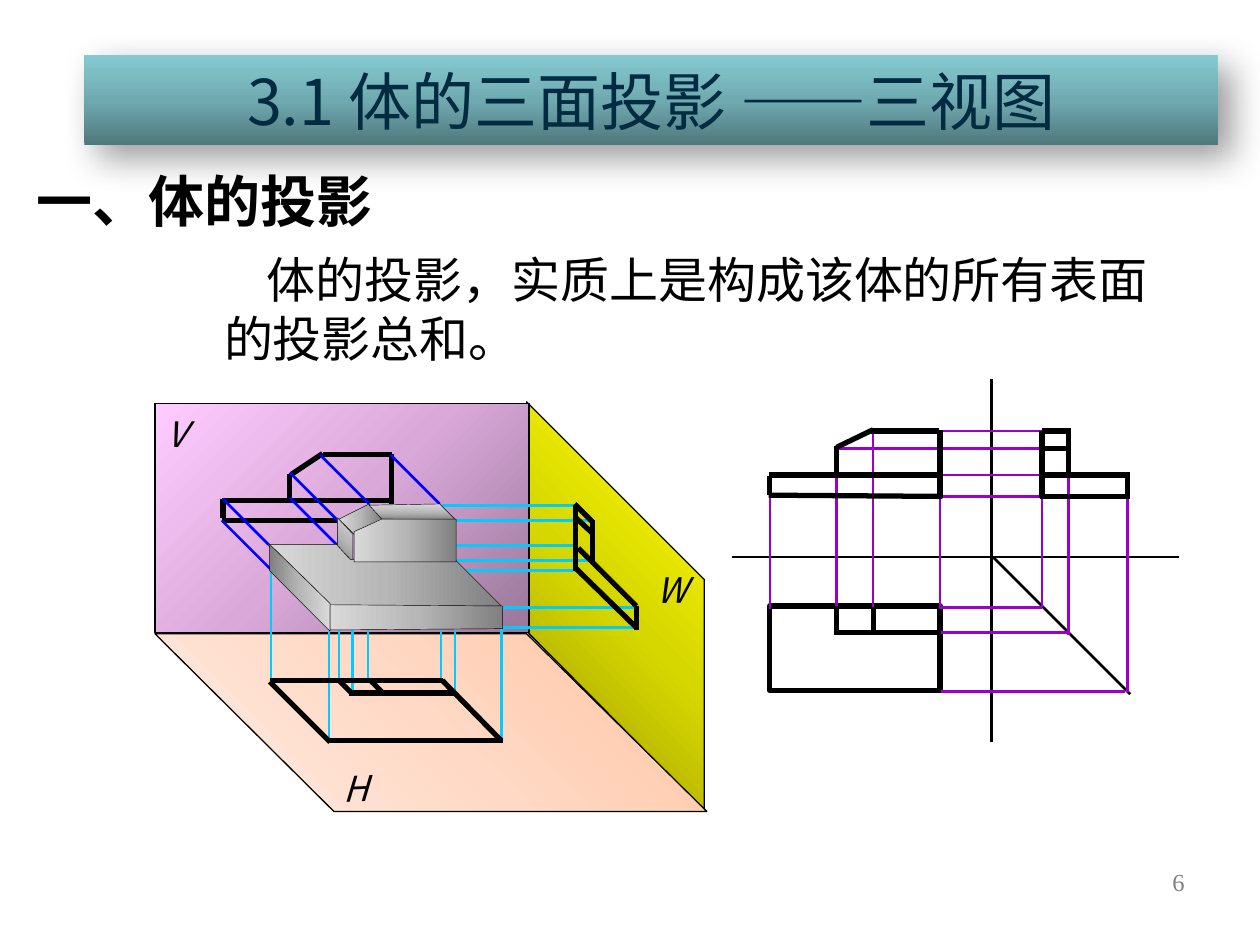
import pptx
import pptx.util
import pptx.dml.color
import pptx.enum.shapes
import pptx.enum.text
import pptx.oxml
import pptx.oxml.ns
import lxml.etree

PX = 9144  # 100 px to the inch
RGB = pptx.dml.color.RGBColor
BLACK, GREY = RGB(0, 0, 0), RGB(0x80, 0x80, 0x80)
NAVY = RGB(0x00, 0x2B, 0x41)
PURPLE, CYAN, BLUE = RGB(0x99, 0, 0xCC), RGB(0, 0xCC, 0xFF), RGB(0, 0, 0xFF)
TEAL = RGB(0x4F, 0x78, 0x7C), RGB(0x70, 0xAA, 0xB1), RGB(0x85, 0xCA, 0xD1)
YELLOW = RGB(0x97, 0x97, 0), RGB(0xD7, 0xD7, 0), RGB(0xFF, 0xFF, 0)
PEACH = RGB(0xFF, 0xC4, 0xA0), RGB(0xFF, 0xD9, 0xC5), RGB(0xFF, 0xEC, 0xE3)
PINK = RGB(0x99, 0x77, 0x99), RGB(0xDA, 0xA9, 0xDA), RGB(0xFF, 0xCC, 0xFF)
STEEL = GREY, RGB(0xB7, 0xB7, 0xB7), RGB(0xD9, 0xD9, 0xD9)
SANS, SERIF = "Noto Sans CJK SC", "Times New Roman"

TITLE = "3.1 体的三面投影 ——三视图"
HEAD = "一、体的投影"
BODY = "体的投影，实质上是构成该体的所有表面的投影总和。"
NUMBER = "6"

# Name, box, turn in degrees
LABELS = [("V", (122, 322, 37, 44), 0), ("W", (510, 446, 46, 44), -0.5),
          ("H", (262, 603, 40, 44), -2.6)]

# Gradient, angle, corners
W_PLANE = (YELLOW, 315, [(418, 501), (559, 643), (559, 460), (418, 319)])
H_PLANE = (PEACH, 135, [(123, 503), (418, 503), (561, 644), (265, 644)])
V_PLANE = (123, 320, 297, 182)
TOP_VIEW = (611, 481, 135, 67)
SOLID = [
    (STEEL, 315, [(268, 411), (268, 433), (280, 446), (280, 424)]),
    (STEEL, 180, [(269, 412), (293, 400), (303, 412), (281, 424)]),
    (STEEL, 270, [(293, 401), (349, 400), (362, 413), (303, 412)]),
    (STEEL, 180, [(267, 432), (278, 444), (362, 445), (398, 481), (260, 481), (212, 432)]),
    (STEEL, 180, [(281, 422), (281, 446), (362, 446), (362, 412), (303, 412)]),
    (STEEL, 0, [(214, 432), (214, 453), (262, 501), (262, 479)]),
    (STEEL, 180, [(262, 480), (399, 481), (399, 499), (262, 500)]),
]

# Lines as x1, y1, x2, y2
AXES = [(581, 442, 936, 442), (787, 301, 787, 589), (788, 442, 897, 551)]
LINKS = [
    (611, 393, 611, 483), (746, 390, 746, 483), (664, 374, 664, 481),
    (693, 341, 693, 483), (747, 342, 845, 342), (665, 356, 845, 356),
    (748, 377, 826, 377), (748, 394, 825, 394), (745, 482, 827, 482),
    (827, 482, 827, 394), (747, 549, 893, 549), (895, 549, 895, 392),
    (743, 502, 848, 502), (848, 504, 848, 340),
]
VIEWS = [
    # top
    (664, 502, 747, 502), (664, 504, 664, 483), (693, 482, 693, 503),
    # front
    (746, 378, 746, 341), (745, 342, 691, 342), (664, 378, 664, 354),
    (664, 355, 693, 341), (748, 394, 610, 393), (611, 393, 611, 378),
    (610, 377, 747, 377), (746, 376, 746, 395),
    # side
    (827, 380, 827, 342), (827, 342, 850, 342), (827, 356, 850, 356),
    (848, 342, 848, 377), (895, 395, 895, 377), (827, 377, 897, 377),
    (825, 394, 897, 394), (827, 377, 827, 395),
]
H_RAYS = [
    (215, 452, 215, 540), (261, 497, 261, 589), (398, 496, 398, 589),
    (350, 420, 350, 540), (269, 432, 269, 541), (280, 444, 280, 550),
    (361, 444, 361, 551), (292, 497, 292, 540),
]
H_IMAGE = [
    (214, 540, 352, 540), (261, 588, 399, 588), (351, 540, 398, 588),
    (277, 550, 361, 550), (294, 540, 304, 550), (269, 540, 279, 550),
    (214, 541, 262, 589),
]
V_IMAGE = [
    (230, 397, 230, 376), (232, 376, 256, 360), (313, 413, 176, 413),
    (177, 411, 177, 396), (311, 413, 311, 360), (311, 361, 256, 361),
    (176, 397, 313, 397),
]
V_RAYS = [
    (214, 433, 177, 396), (293, 400, 254, 361), (268, 433, 230, 395),
    (268, 413, 230, 375), (176, 413, 216, 453), (349, 400, 310, 361),
]
W_RAYS = [
    (398, 498, 505, 498), (366, 453, 456, 453), (397, 482, 505, 482),
    (351, 401, 459, 401), (359, 413, 470, 413), (362, 445, 470, 445),
    (459, 433, 358, 433),
]
W_IMAGE = [
    (457, 402, 457, 453), (470, 413, 470, 447), (456, 400, 470, 414),
    (505, 500, 505, 481), (459, 435, 505, 481), (505, 498, 457, 451),
    (456, 410, 470, 423),
]
PICTORIAL = [(H_RAYS, CYAN, 1.5), (H_IMAGE, BLACK, 3), (V_IMAGE, BLACK, 3),
             (V_RAYS, BLUE, 1.5), (W_RAYS, CYAN, 1.5), (W_IMAGE, BLACK, 3)]

deck = pptx.Presentation()
deck.slide_width, deck.slide_height = 1000 * PX, 750 * PX
page = deck.slides.add_slide(deck.slide_layouts[6]).shapes


def scale(*nums):
    return [num * PX for num in nums]


def shade(shape, hues, angle):
    """Fill with three even stops; the angle runs clockwise."""
    shape.fill.gradient()
    grad = shape.fill._fill._gradFill
    stops = "".join(f'<a:gs pos="{i * 50000}"><a:srgbClr val="{hue}"/></a:gs>'
                    for i, hue in enumerate(hues))
    names = pptx.oxml.ns.nsdecls("a")
    for child in list(grad):
        grad.remove(child)
    grad.append(pptx.oxml.parse_xml(f"<a:gsLst {names}>{stops}</a:gsLst>"))
    grad.append(pptx.oxml.parse_xml(f'<a:lin {names} ang="{angle * 60000}" scaled="0"/>'))


def edge(shape, hue, width):
    shape.line.color.rgb = hue
    shape.line.width = pptx.util.Pt(width)


def rect(box):
    shape = page.add_shape(pptx.enum.shapes.MSO_SHAPE.RECTANGLE, *scale(*box))
    shape.shadow.inherit = False
    return shape


def face(hues, angle, points, width=0.25):
    form = page.build_freeform(*points[0], scale=PX)
    form.add_line_segments(points[1:], close=True)
    shape = form.convert_to_shape()
    shape.shadow.inherit = False
    shade(shape, hues, angle)
    edge(shape, BLACK, width)


def draw(lines, hue, width):
    for ends in lines:
        line = page.add_connector(pptx.enum.shapes.MSO_CONNECTOR.STRAIGHT, *scale(*ends))
        edge(line, hue, width)
        lxml.etree.SubElement(line._element.spPr, pptx.oxml.ns.qn("a:effectLst"))


def write(shape, text, size, hue, align="LEFT", font=SANS, bold=False,
          slant=False, wrap=True, middle=True):
    frame = shape.text_frame
    frame.word_wrap = wrap
    anchor = pptx.enum.text.MSO_ANCHOR
    frame.vertical_anchor = anchor.MIDDLE if middle else anchor.TOP
    para = frame.paragraphs[0]
    para.alignment = pptx.enum.text.PP_ALIGN[align]
    run = para.add_run()
    run.text = text
    run.font.name, run.font.size = font, pptx.util.Pt(size)
    run.font.bold, run.font.italic = bold, slant
    run.font.color.rgb = hue
    east = lxml.etree.SubElement(run._r.rPr, pptx.oxml.ns.qn("a:ea"))
    east.set("typeface", font)
    return para


def label(box, *args, **style):
    return write(page.add_textbox(*scale(*box)), *args, **style)


label((717, 683, 233, 52), NUMBER, 14, GREY, "RIGHT", SERIF,
      middle=False).space_before = pptx.util.Pt(7)

# Three planes
face(*W_PLANE, width=0.75)
face(*H_PLANE, width=0.75)
wall = rect(V_PLANE)
shade(wall, PINK, 225)
edge(wall, BLACK, 0.75)
for name, box, turn in LABELS:
    tag = page.add_textbox(*scale(*box))
    tag.rotation = turn
    write(tag, name, 20, BLACK, "CENTER", slant=True, wrap=False)

# Three views
base = rect(TOP_VIEW)
base.fill.background()
edge(base, BLACK, 3)
draw(AXES, BLACK, 1.5)
draw(LINKS, PURPLE, 1.5)
draw(VIEWS, BLACK, 3)

# Words
bar = rect((67, 44, 900, 71))
shade(bar, TEAL, 270)
bar.line.fill.background()
bar._element.spPr.find(pptx.oxml.ns.qn("a:effectLst")).append(pptx.oxml.parse_xml(
    f'<a:outerShdw {pptx.oxml.ns.nsdecls("a")} blurRad="254000" dist="127000" '
    'dir="2700000" algn="tl" rotWithShape="0"><a:srgbClr val="000000">'
    '<a:alpha val="40000"/></a:srgbClr></a:outerShdw>'))
write(bar, TITLE, 36, NAVY, "CENTER")
label((19, 127, 426, 64), HEAD, 32, BLACK, bold=True, middle=False)
body = label((168, 193, 787, 104), BODY, 28, BLACK)
body._p.get_or_add_pPr().set("indent", str(34 * PX))

# Solid with its rays and images
for lines, hue, width in PICTORIAL:
    draw(lines, hue, width)
for part in SOLID:
    face(*part)

deck.save("out.pptx")
